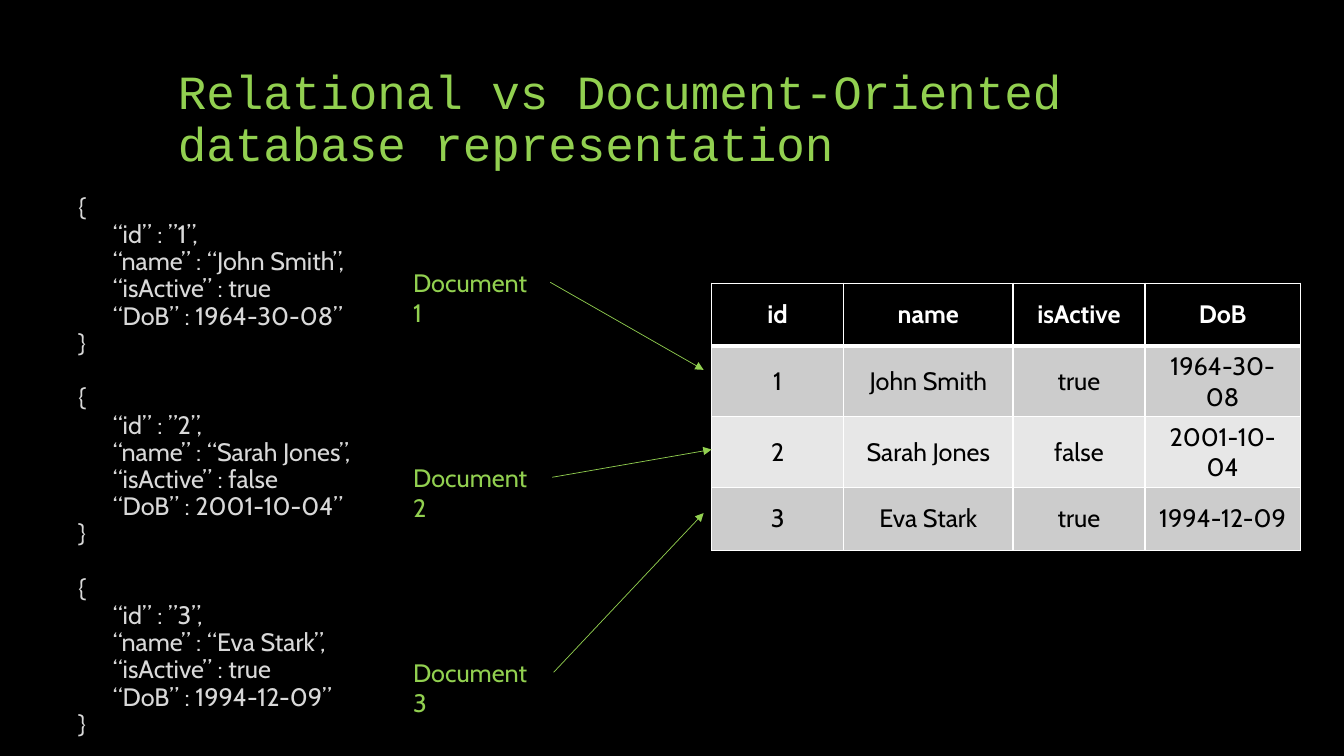
from lxml.etree import SubElement
from pptx import Presentation
from pptx.dml.color import RGBColor
from pptx.enum.shapes import MSO_CONNECTOR
from pptx.enum.text import MSO_ANCHOR, PP_ALIGN
from pptx.oxml.ns import qn
from pptx.util import Pt

BLACK = RGBColor(0x00, 0x00, 0x00)
WHITE = RGBColor(0xFF, 0xFF, 0xFF)
GREEN = RGBColor(0x92, 0xD0, 0x50)
LIGHT_GRAY = RGBColor(0xD9, 0xD9, 0xD9)
ROW_FILLS = [RGBColor(0xCC, 0xCC, 0xCC), RGBColor(0xE7, 0xE7, 0xE7)]

BODY_FONT = "Cabin"
TITLE_FONT = "Courier New"

FIELDS = ["id", "name", "isActive", "DoB"]
RECORDS = [
    ["1", "John Smith", "true", "1964-30-08"],
    ["2", "Sarah Jones", "false", "2001-10-04"],
    ["3", "Eva Stark", "true", "1994-12-09"],
]
COLUMN_WIDTHS = [94.3, 121, 94.3, 110.9]
ROW_HEIGHT = 45
TABLE_LEFT, TABLE_TOP = 508.3, 202.3

LABEL_LEFT, LABEL_TOP, LABEL_STEP, LABEL_HEIGHT = 288, 187.2, 139.3, 28.8
LABEL_WIDTHS = [105, 106.5, 107.5]
ARROW_ENDS = [(502.6, 264.2), (TABLE_LEFT, 321.1), (502.6, 366.5)]


def add_run(paragraph, text, color, size=18, font=BODY_FONT, bold=False):
    run = paragraph.add_run()
    run.text = text
    run.font.name = font
    run.font.size = Pt(size)
    run.font.bold = bold
    run.font.color.rgb = color


def add_text_box(slide, left, top, width, height):
    shape = slide.shapes.add_textbox(Pt(left), Pt(top), Pt(width), Pt(height))
    shape.text_frame.word_wrap = True
    return shape


def add_title(slide, text):
    frame = add_text_box(slide, 120, 36, 720, 90).text_frame
    frame.vertical_anchor = MSO_ANCHOR.BOTTOM
    paragraph = frame.paragraphs[0]
    paragraph.line_spacing = 0.9
    add_run(paragraph, text, GREEN, 34, TITLE_FONT)


def document_lines(record):
    number, name, active, birth = record
    return [
        "{",
        f"“id” : ”{number}”,",
        f"“name” : “{name}”,",
        f"“isActive” : {active}",
        f"“DoB” : {birth}”",
        "}",
    ]


def add_documents(slide):
    frame = add_text_box(slide, 49, 135.4, 238, 278).text_frame
    paragraph = frame.paragraphs[0]
    for index, record in enumerate(RECORDS):
        for line in document_lines(record):
            if paragraph.runs:
                paragraph = frame.add_paragraph()
            paragraph.line_spacing = 0.9
            if line == "{" and index > 0:
                paragraph.space_before = Pt(19.4)
            if line not in "{}":
                properties = paragraph._p.get_or_add_pPr()
                properties.set("marL", str(Pt(24.5)))
                properties.set("indent", "0")
            add_run(paragraph, line, LIGHT_GRAY)


def add_label(slide, index):
    top = LABEL_TOP + index * LABEL_STEP
    label = add_text_box(slide, LABEL_LEFT, top, LABEL_WIDTHS[index], LABEL_HEIGHT)
    add_run(label.text_frame.paragraphs[0], f"Document {index + 1}", GREEN)
    return label


def add_arrow(slide, label, end):
    connector = slide.shapes.add_connector(
        MSO_CONNECTOR.STRAIGHT, 0, 0, Pt(end[0]), Pt(end[1])
    )
    connector.begin_connect(label, 3)
    connector.line.color.rgb = GREEN
    connector.line.width = Pt(0.5)
    SubElement(connector.line._get_or_add_ln(), qn("a:tailEnd"), type="triangle")
    SubElement(connector._element.spPr, qn("a:effectLst"))


def set_border(cell, side, width):
    line = SubElement(cell._tc.get_or_add_tcPr(), qn(f"a:{side}"), w=str(Pt(width)))
    fill = SubElement(line, qn("a:solidFill"))
    SubElement(fill, qn("a:srgbClr"), val=str(WHITE))


def style_cell(cell, text, row_index):
    is_header = row_index == 0
    cell.vertical_anchor = MSO_ANCHOR.MIDDLE
    paragraph = cell.text_frame.paragraphs[0]
    paragraph.alignment = PP_ALIGN.CENTER
    add_run(paragraph, text, WHITE if is_header else BLACK, bold=is_header)
    set_border(cell, "lnL", 1)
    set_border(cell, "lnR", 1)
    set_border(cell, "lnT", 3 if row_index == 1 else 1)
    set_border(cell, "lnB", 3 if is_header else 1)
    cell.fill.solid()
    cell.fill.fore_color.rgb = BLACK if is_header else ROW_FILLS[(row_index - 1) % 2]


def add_record_table(slide):
    rows = [FIELDS] + RECORDS
    table = slide.shapes.add_table(
        len(rows), len(FIELDS), Pt(TABLE_LEFT), Pt(TABLE_TOP),
        Pt(sum(COLUMN_WIDTHS)), Pt(ROW_HEIGHT * len(rows)),
    ).table
    for column, width in zip(table.columns, COLUMN_WIDTHS):
        column.width = Pt(width)
    for row_index, row in enumerate(rows):
        table.rows[row_index].height = Pt(ROW_HEIGHT)
        for column_index, text in enumerate(row):
            style_cell(table.cell(row_index, column_index), text, row_index)


def main():
    presentation = Presentation()
    presentation.slide_width = Pt(960)
    presentation.slide_height = Pt(540)
    slide = presentation.slides.add_slide(presentation.slide_layouts[6])
    slide.background.fill.solid()
    slide.background.fill.fore_color.rgb = BLACK
    add_title(slide, "Relational vs Document-Oriented database representation")
    add_record_table(slide)
    add_documents(slide)
    for index, end in enumerate(ARROW_ENDS):
        add_arrow(slide, add_label(slide, index), end)
    presentation.save("out.pptx")


if __name__ == "__main__":
    main()
